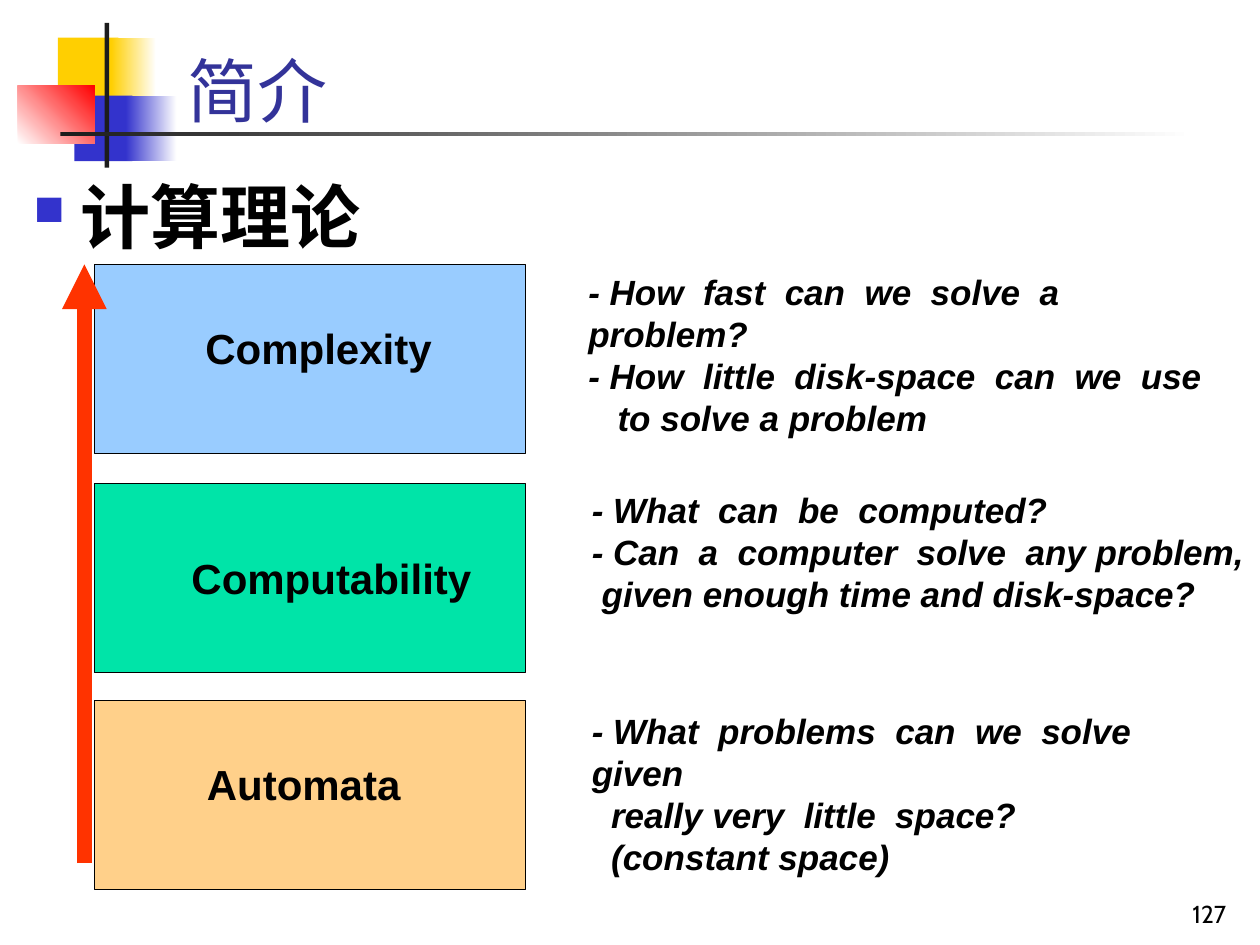
"""Build the slide on the three layers of the theory of computation."""
import pptx
import pptx.util
import pptx.dml.color
import pptx.enum.shapes
import pptx.enum.text
import pptx.oxml
import pptx.oxml.ns

Cm, Pt = pptx.util.Cm, pptx.util.Pt
RGB = pptx.dml.color.RGBColor.from_string
ANCHOR, ALIGN = pptx.enum.text.MSO_ANCHOR, pptx.enum.text.PP_ALIGN
NS = pptx.oxml.ns.nsdecls("a")
COLORS = {
    "yellow": "FFCF01", "blue": "3333CC", "red": "FF0000", "dark": "1C1C1C",
    "white": "FFFFFF", "black": "000000", "title": "333399", "sky": "99CCFF",
    "green": "00E4A8", "orange": "FF9900", "arrow": "FF3300",
}

prs = pptx.Presentation()
prs.slide_width, prs.slide_height = Cm(25.4), Cm(19.05)
s = prs.slides.add_slide(prs.slide_layouts[5])


def add_rect(box, start, end=None, angle=0):
    """Add a borderless rectangle with a solid or two-stop gradient fill."""
    sp = s.shapes.add_shape(pptx.enum.shapes.MSO_SHAPE.RECTANGLE, *map(Cm, box))
    sp.shadow.inherit = False
    sp.line.fill.background()
    if end:
        sp.fill.gradient()
        sp.fill.gradient_angle = angle
        for stop, color in zip(sp.fill.gradient_stops, (start, end)):
            stop.color.rgb = RGB(COLORS[color])
    else:
        sp.fill.solid()
        sp.fill.fore_color.rgb = RGB(COLORS[start])
    return sp


def write(sp, lines, size, font, color="black", bold=False, italic=False, wrap=True):
    """Fill a shape with (text, left indent) lines in one style."""
    tf = sp.text_frame
    tf.word_wrap = wrap
    for i, (text, indent) in enumerate(lines):
        p = tf.paragraphs[0] if i == 0 else tf.add_paragraph()
        p.text = text
        p.alignment = ALIGN.LEFT
        if indent:
            p._p.get_or_add_pPr().set("marL", str(Cm(indent)))
        f = p.runs[0].font
        f.size, f.name, f.bold, f.italic = Pt(size), font, bold, italic
        f.color.rgb = RGB(COLORS[color])
    return tf


ornaments = [
    ((1.17, 0.76, 1.22, 1.32), "yellow"),
    ((2.24, 0.76, 0.91, 1.32), "yellow", "white"),
    ((1.5, 1.93, 1.17, 1.32), "blue"),
    ((2.54, 1.93, 1.02, 1.32), "blue", "white"),
    ((0.36, 1.73, 1.55, 1.17), "white", "red", 45),
    ((2.11, 0.46, 0.09, 2.92), "dark"),
    ((1.22, 2.67, 22.86, 0.08), "dark", "white"),
]
for ornament in ornaments:
    add_rect(*ornament)

title = s.shapes.title
title.left, title.top, title.width, title.height = map(Cm, (3.53, 0.43, 21.64, 2.34))
tf = write(title, [("简介", 0)], 40, "Times New Roman", "title")
tf.vertical_anchor = ANCHOR.BOTTOM

heading = s.shapes.add_textbox(*map(Cm, (0.43, 3.38, 24.46, 14.17)))
tf = write(heading, [("计算理论", 0.95)], 40, "Times New Roman", bold=True)
p = tf.paragraphs[0]
p.space_before = Pt(10)
pPr = p._p.get_or_add_pPr()
pPr.set("indent", str(-Cm(0.95)))
for xml in (
    f'<a:buClr {NS}><a:srgbClr val="{COLORS["blue"]}"/></a:buClr>',
    f'<a:buSzPct {NS} val="60000"/>',
    f'<a:buChar {NS} char="■"/>',
):
    pPr.append(pptx.oxml.parse_xml(xml))

layers = [
    ("Complexity", "sky", 5.33, (3.18, 6.38), 0.71, (11.61, 5.33, 13.61, 3.66), [
        ("- How  fast  can  we  solve  a  problem?", 0),
        ("- How  little  disk-space  can  we  use", 0),
        ("to solve a problem", 0.59)]),
    ("Computability", "green", 9.75, (3.61, 11.02), 0, (11.68, 9.73, 13.67, 2.79), [
        ("- What  can  be  computed?", 0),
        ("- Can  a  computer  solve  any problem,", 0),
        ("given enough time and disk-space?", 0.2)]),
    ("Automata", "orange", 14.12, (2.74, 15.16), 1.18, (11.68, 14.17, 13.61, 2.79), [
        ("- What  problems  can  we  solve  given", 0),
        ("really very  little  space?", 0.39),
        ("(constant space)", 0.39)]),
]
for name, color, top, label_at, indent, note_box, questions in layers:
    block = add_rect((1.9, top, 8.69, 3.81), color)
    block.line.color.rgb = RGB(COLORS["black"])
    block.line.width = Pt(0.75)
    if color == "orange":
        clr = block.fill._xPr.find(".//" + pptx.oxml.ns.qn("a:srgbClr"))
        clr.append(pptx.oxml.parse_xml(f'<a:alpha {NS} val="46000"/>'))
    label = s.shapes.add_textbox(*map(Cm, (*label_at, 6.35, 1.27)))
    write(label, [(name, indent)], 24, "Arial", bold=True)
    note = s.shapes.add_textbox(*map(Cm, note_box))
    write(note, questions, 20, "Arial", bold=True, italic=True, wrap=False)

arrow = s.shapes.add_connector(
    pptx.enum.shapes.MSO_CONNECTOR.STRAIGHT, Cm(1.7), Cm(17.4), Cm(1.7), Cm(5.33))
arrow.line.color.rgb = RGB(COLORS["arrow"])
arrow.line.width = Pt(8.5)
arrow.line._get_or_add_ln().append(pptx.oxml.parse_xml(f'<a:tailEnd {NS} type="triangle"/>'))
arrow._element.spPr.append(pptx.oxml.parse_xml(f"<a:effectLst {NS}/>"))

number = s.shapes.add_textbox(*map(Cm, (19.69, 17.58, 5.28, 1.27)))
tf = write(number, [("127", 0)], 14, "Cabin")
tf.vertical_anchor = ANCHOR.BOTTOM
tf.paragraphs[0].alignment = ALIGN.RIGHT

prs.save("out.pptx")
